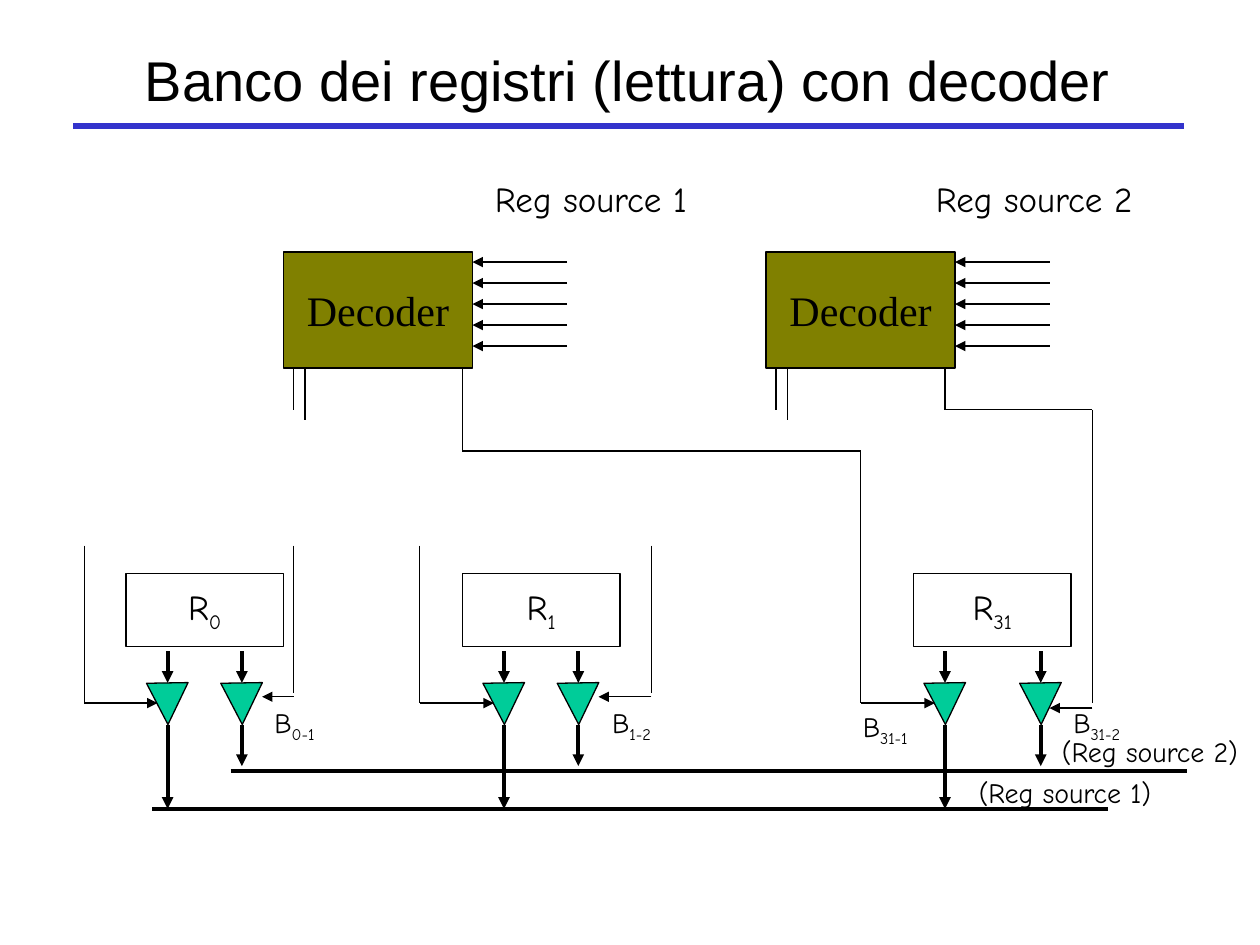
"""Build a slide showing register bank reads driven by two decoders."""
from itertools import pairwise

from lxml import etree
from pptx import Presentation
from pptx.dml.color import RGBColor
from pptx.enum.shapes import MSO_CONNECTOR, MSO_SHAPE
from pptx.enum.text import MSO_ANCHOR, MSO_AUTO_SIZE, PP_ALIGN
from pptx.oxml.ns import qn
from pptx.util import Inches, Pt

STRAIGHT = MSO_CONNECTOR.STRAIGHT
RECTANGLE = MSO_SHAPE.RECTANGLE
TRIANGLE = MSO_SHAPE.ISOSCELES_TRIANGLE
MIDDLE = MSO_ANCHOR.MIDDLE
FIT_SHAPE = MSO_AUTO_SIZE.SHAPE_TO_FIT_TEXT
LEFT, CENTER = PP_ALIGN.LEFT, PP_ALIGN.CENTER

COLORS = {"ink": "000000", "paper": "FFFFFF", "rule": "3333CC",
          "decoder": "808000", "buffer": "00CC99"}
HAND, SERIF, SANS = "Comic Neue", "Times New Roman", "Arial"
THIN, THICK = 0.75, 2.25
DECODER_TOP, DECODER_BOTTOM = 2, 2.92
BUFFER_TOP, BUFFER_SIZE = 5.42, 0.33
BUS_1, BUS_2 = 6.42, 6.12


def color(name):
    return RGBColor.from_string(COLORS[name])


class Diagram:
    """Hold the drawing style and the current slide."""

    def __init__(self, slide):
        self.slide = slide
        self.shapes = slide.shapes

    def set_text(self, frame, text, size, font, align=LEFT, subscript=""):
        paragraph = frame.paragraphs[0]
        paragraph.alignment = align
        paragraph.font.size = Pt(size)
        paragraph.font.name = font
        paragraph.font.color.rgb = color("ink")
        paragraph.add_run().text = text
        if subscript:
            run = paragraph.add_run()
            run.text = subscript
            run._r.get_or_add_rPr().set("baseline", "-25000")
        return paragraph

    def title(self, text):
        title = self.shapes.title
        title.left, title.top = Inches(0.61), Inches(0.25)
        title.width, title.height = Inches(8.75), Inches(0.75)
        title.text_frame.vertical_anchor = MIDDLE
        self.set_text(title.text_frame, text, 32, SANS, CENTER)

    def label(self, left, top, width, height, text, size, subscript=""):
        box = self.shapes.add_textbox(Inches(left), Inches(top), Inches(width), Inches(height))
        frame = box.text_frame
        frame.word_wrap = not subscript
        frame.auto_size = FIT_SHAPE
        paragraph = self.set_text(frame, text, size, HAND, subscript=subscript)
        if not subscript:
            paragraph.line_spacing = 1.1

    def shape(self, kind, left, top, width, height, fill):
        shape = self.shapes.add_shape(kind, Inches(left), Inches(top), Inches(width), Inches(height))
        shape.shadow.inherit = False
        shape.fill.solid()
        shape.fill.fore_color.rgb = color(fill)
        shape.line.color.rgb = color("ink")
        shape.line.width = Pt(THIN)
        return shape

    def block(self, left, top, width, height, fill, text, size, font, subscript=""):
        frame = self.shape(RECTANGLE, left, top, width, height, fill).text_frame
        frame.word_wrap = False
        frame.vertical_anchor = MIDDLE
        self.set_text(frame, text, size, font, CENTER, subscript)

    def wire(self, *points, width=THIN, arrow=False, ink="ink"):
        for start, end in pairwise(points):
            connector = self.shapes.add_connector(STRAIGHT, *map(Inches, start + end))
            connector.line.color.rgb = color(ink)
            connector.line.width = Pt(width)
            properties = connector._element.spPr
            if arrow and end == points[-1]:
                etree.SubElement(properties.get_or_add_ln(), qn("a:tailEnd"), type="triangle")
            etree.SubElement(properties, qn("a:effectLst"))

    def buffer(self, center, output_end):
        triangle = self.shape(TRIANGLE, center - BUFFER_SIZE / 2, BUFFER_TOP,
                              BUFFER_SIZE, BUFFER_SIZE, "buffer")
        triangle.rotation = 179.1
        self.wire((center, 5.17), (center, BUFFER_TOP), width=THICK, arrow=True)
        self.wire((center, 5.75), (center, output_end), width=THICK, arrow=True)

    def register(self, left, number, centers, left_route, right_route, right_end, arrow_y, gap):
        first, second = centers
        self.block(left, 4.55, 1.25, 0.58, "paper", "R", 20, HAND, number)
        self.buffer(first, BUS_1)
        self.buffer(second, 6.08)
        self.wire(*left_route, (left_route[-1][0], 5.58), (first - 0.08, 5.58), arrow=True)
        right_x = right_route[-1][0]
        self.wire(*right_route, (right_x, right_end))
        self.wire((right_x, arrow_y), (second + gap, arrow_y), arrow=True)

    def decoder(self, left):
        right = left + 1.5
        self.block(left, DECODER_TOP, 1.5, 0.92, "decoder", "Decoder", 24, SERIF)
        for bit in range(5):
            y = 2.08 + bit / 6
            self.wire((right + 0.75, y), (right, y), arrow=True)
        for offset, end in ((0.08, 3.25), (0.17, 3.33)):
            self.wire((left + offset, DECODER_BOTTOM), (left + offset, end))


def main():
    presentation = Presentation()
    presentation.slide_width, presentation.slide_height = Inches(10), Inches(7.5)
    slide = presentation.slides.add_slide(presentation.slide_layouts[5])
    diagram = Diagram(slide)
    diagram.title("Banco dei registri (lettura) con decoder")
    diagram.wire((0.58, 1), (9.4, 1), width=3.75, ink="rule")

    diagram.decoder(2.25)
    diagram.decoder(6.08)
    diagram.wire((1.83, BUS_2), (9.42, BUS_2), width=THICK)
    diagram.wire((1.21, BUS_1), (8.79, BUS_1), width=THICK)

    diagram.register(1, "0", (1.33, 1.92), [(0.67, 4.33)], [(2.33, 4.33)], 5.5, 5.53, 0.16)
    diagram.register(3.67, "1", (4, 4.59), [(3.33, 4.33)], [(5.17, 4.33)], 5.5, 5.53, 0.16)
    diagram.register(7.25, "31", (7.5, 8.26),
                     [(3.67, DECODER_BOTTOM), (3.67, 3.58), (6.83, 3.58)],
                     [(7.5, DECODER_BOTTOM), (7.5, 3.25), (8.67, 3.25)], 5.58, 5.62, 0.07)

    for left, top, width, subscript in ((2.08, 5.55, 0.57, "0-1"), (4.76, 5.55, 0.57, "1-2"),
                                        (6.75, 5.58, 0.64, "31-1"), (8.42, 5.55, 0.66, "31-2")):
        diagram.label(left, top, width, 0.37, "B", 16, subscript)
    diagram.label(3.83, 1.33, 1.82, 0.47, "Reg source 1", 20)
    diagram.label(7.33, 1.33, 1.87, 0.47, "Reg source 2", 20)
    diagram.label(7.67, 6.08, 1.66, 0.39, "(Reg source 1)", 16)
    diagram.label(8.33, 5.75, 1.69, 0.39, "(Reg source 2)", 16)
    presentation.save("out.pptx")


if __name__ == "__main__":
    main()
